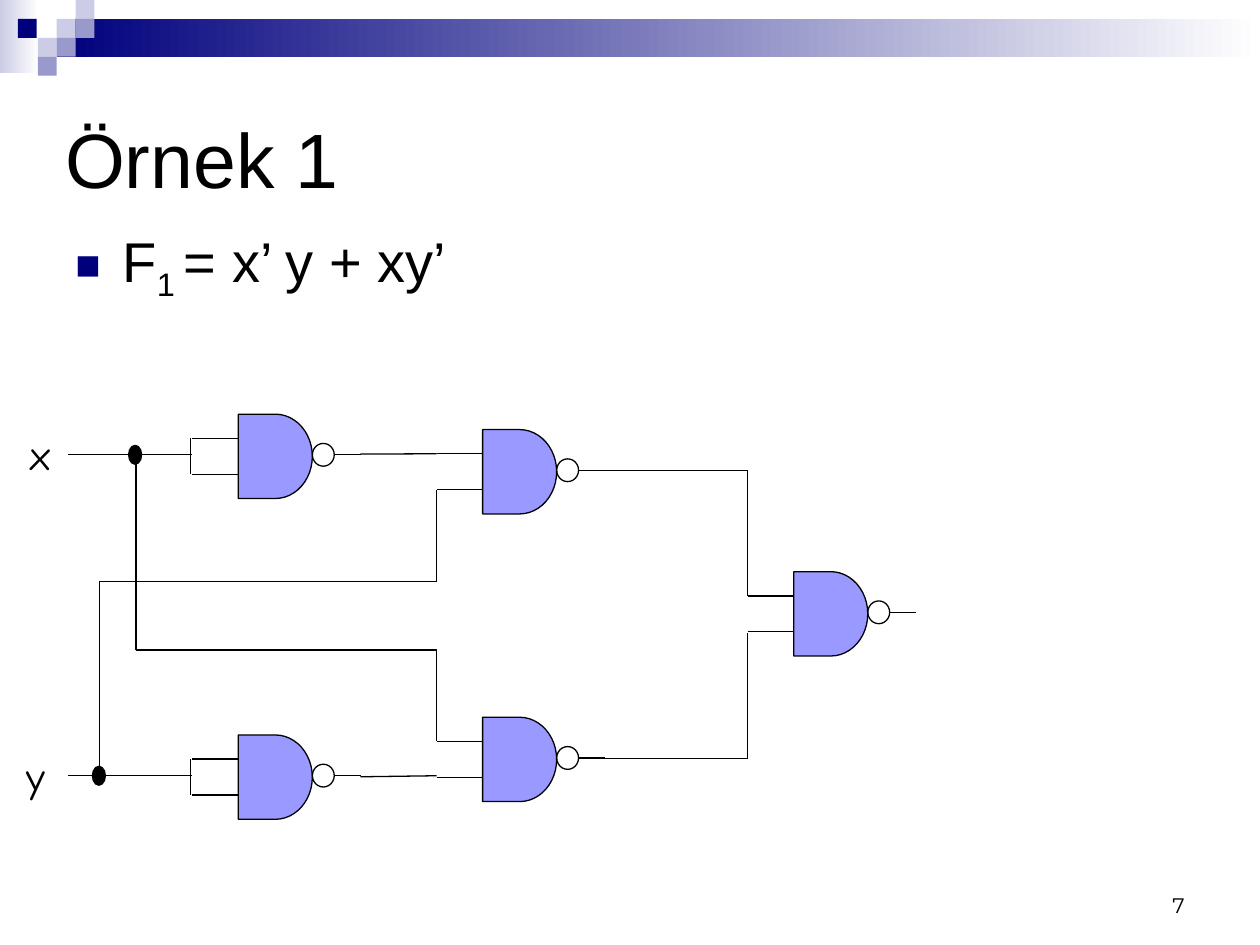
from lxml.etree import SubElement
from pptx import Presentation
from pptx.dml.color import RGBColor
from pptx.enum.shapes import MSO_CONNECTOR, MSO_SHAPE as Shape
from pptx.enum.text import MSO_ANCHOR as Anchor, PP_ALIGN as Align
from pptx.oxml.ns import qn
from pptx.util import Pt

BLACK = RGBColor(0x00, 0x00, 0x00)
WHITE = RGBColor(0xFF, 0xFF, 0xFF)
NAVY = RGBColor(0x00, 0x00, 0x7D)
PALE = RGBColor(0xCC, 0xCC, 0xE6)
MID = RGBColor(0x99, 0x99, 0xCC)
GATE_BLUE = RGBColor(0x99, 0x99, 0xFF)

TITLE = "Örnek 1"
FORMULA = [("F", 0), ("1 ", -25000), ("= x’ y + xy’", 0)]
PAGE = "7"
INPUTS = [("x", 10.1, 241.2, 29), ("y", 7.9, 425.5, 27.4)]

BANDS = [(0, 0, 22.3, 41.8, PALE), (32.4, 10.8, 687.6, 21.6, NAVY)]
TILE = 10.8
TILES = [(32.4, 10.8, PALE), (43.2, 0, PALE), (43.2, 10.8, MID), (21.6, 21.6, PALE),
         (10.2, 10.8, NAVY), (32.4, 21.6, MID), (21.6, 32.4, MID)]

GATE_W, GATE_H = 42.3, 48.2
BUBBLE_W, BUBBLE_H = 12.5, 13
STUB = 26.3
PIN_TOP, PIN_BOTTOM, PIN_OUT = 13.8, 34.3, 23.2
INVERTERS = [(136.2, 236.7), (136.2, 420)]
NANDS = [(275.8, 245.5), (275.8, 409.9), (453.6, 326.7)]

WIRES = [
    [(56.8, 443.3), (56.8, 332.4), (249.5, 332.4), (249.5, 279.8)],
    [(77.8, 259.5), (77.8, 371.5), (249.5, 371.5), (249.5, 423.7)],
    [(206, 259.5), (249.5, 259.3)],
    [(206, 443.9), (249.5, 443.3)],
    [(345.7, 269), (427.3, 269), (427.3, 340.5)],
    [(345.7, 433.4), (427.3, 433.4), (427.3, 362)],
]
JUNCTIONS = [(56.5, 443.3), (77.2, 259.9)]
DOT_W, DOT_H = 7.4, 10.8


def add_shape(kind, x, y, w, h, fill=None, outlined=True):
    shape = slide.shapes.add_shape(kind, Pt(x), Pt(y), Pt(w), Pt(h))
    shape.shadow.inherit = False
    if fill is None:
        shape.fill.background()
    else:
        shape.fill.solid()
        shape.fill.fore_color.rgb = fill
    if outlined:
        shape.line.color.rgb = BLACK
        shape.line.width = Pt(0.75)
    else:
        shape.line.fill.background()
    return shape


def add_wire(*points):
    for (x1, y1), (x2, y2) in zip(points, points[1:]):
        wire = slide.shapes.add_connector(
            MSO_CONNECTOR.STRAIGHT, Pt(x1), Pt(y1), Pt(x2), Pt(y2))
        wire.line.color.rgb = BLACK
        wire.line.width = Pt(0.75)
        SubElement(wire._element.spPr, qn("a:effectLst"))


def add_gate(x, y):
    add_shape(Shape.FLOWCHART_DELAY, x, y, GATE_W, GATE_H, GATE_BLUE)
    for pin in (PIN_TOP, PIN_BOTTOM):
        add_wire((x - STUB, y + pin), (x, y + pin))
    bubble_end = x + GATE_W + BUBBLE_W
    add_wire((bubble_end, y + PIN_OUT), (bubble_end + 15.1, y + PIN_OUT))
    add_shape(Shape.OVAL, x + GATE_W, y + PIN_OUT - BUBBLE_H / 2, BUBBLE_W, BUBBLE_H)


def add_text(x, y, w, h, wrap=True):
    frame = slide.shapes.add_textbox(Pt(x), Pt(y), Pt(w), Pt(h)).text_frame
    frame.word_wrap = wrap
    return frame


def add_run(paragraph, text, size, face):
    run = paragraph.add_run()
    run.text = text
    run.font.size = Pt(size)
    run.font.name = face
    run.font.color.rgb = BLACK
    return run


def add_bullet(paragraph):
    props = paragraph._p.get_or_add_pPr()
    props.set("marL", str(Pt(27)))
    props.set("indent", str(-Pt(27)))
    color = SubElement(props, qn("a:buClr"))
    SubElement(color, qn("a:srgbClr")).set("val", str(NAVY))
    SubElement(props, qn("a:buSzPct")).set("val", "75000")
    SubElement(props, qn("a:buFont")).set("typeface", "Arial")
    SubElement(props, qn("a:buChar")).set("char", "■")


deck = Presentation()
deck.slide_width, deck.slide_height = Pt(720), Pt(540)
slide = deck.slides.add_slide(deck.slide_layouts[5])

for x, y, w, h, start in BANDS:
    band = add_shape(Shape.RECTANGLE, x, y, w, h, start, outlined=False)
    band.fill.gradient()
    band.fill.gradient_angle = 0
    for stop, position, color in zip(band.fill.gradient_stops, (0, 1), (start, WHITE)):
        stop.position = position
        stop.color.rgb = color
for x, y, color in TILES:
    add_shape(Shape.RECTANGLE, x, y, TILE, TILE, color, outlined=False)

title = slide.shapes.title
title.left, title.top, title.width, title.height = Pt(30), Pt(48), Pt(648), Pt(84)
title.text_frame.vertical_anchor = Anchor.MIDDLE
heading = title.text_frame.paragraphs[0]
heading.alignment = Align.LEFT
add_run(heading, TITLE, 44, "Arial")

formula = add_text(36, 126, 648, 70.6).paragraphs[0]
add_bullet(formula)
for text, baseline in FORMULA:
    part = add_run(formula, text, 32, "Arial")
    if baseline:
        part.font._element.set("baseline", str(baseline))

page_frame = add_text(516, 492, 168, 36)
page_frame.vertical_anchor = Anchor.BOTTOM
page_frame.paragraphs[0].alignment = Align.RIGHT
add_run(page_frame.paragraphs[0], PAGE, 12, "Montserrat")

for x, y in INVERTERS + NANDS:
    add_gate(x, y)
for x, y in INVERTERS:
    add_wire((108.9, y + PIN_TOP), (108.9, y + PIN_BOTTOM))
    add_wire((38.9, y + PIN_OUT), (x - STUB, y + PIN_OUT))
for wire_points in WIRES:
    add_wire(*wire_points)
for x, y in JUNCTIONS:
    add_shape(Shape.OVAL, x - DOT_W / 2, y - DOT_H / 2, DOT_W, DOT_H, BLACK)
for name, x, y, w in INPUTS:
    add_run(add_text(x, y, w, 36, wrap=False).paragraphs[0], name, 24, "Comic Neue")

deck.save("out.pptx")
